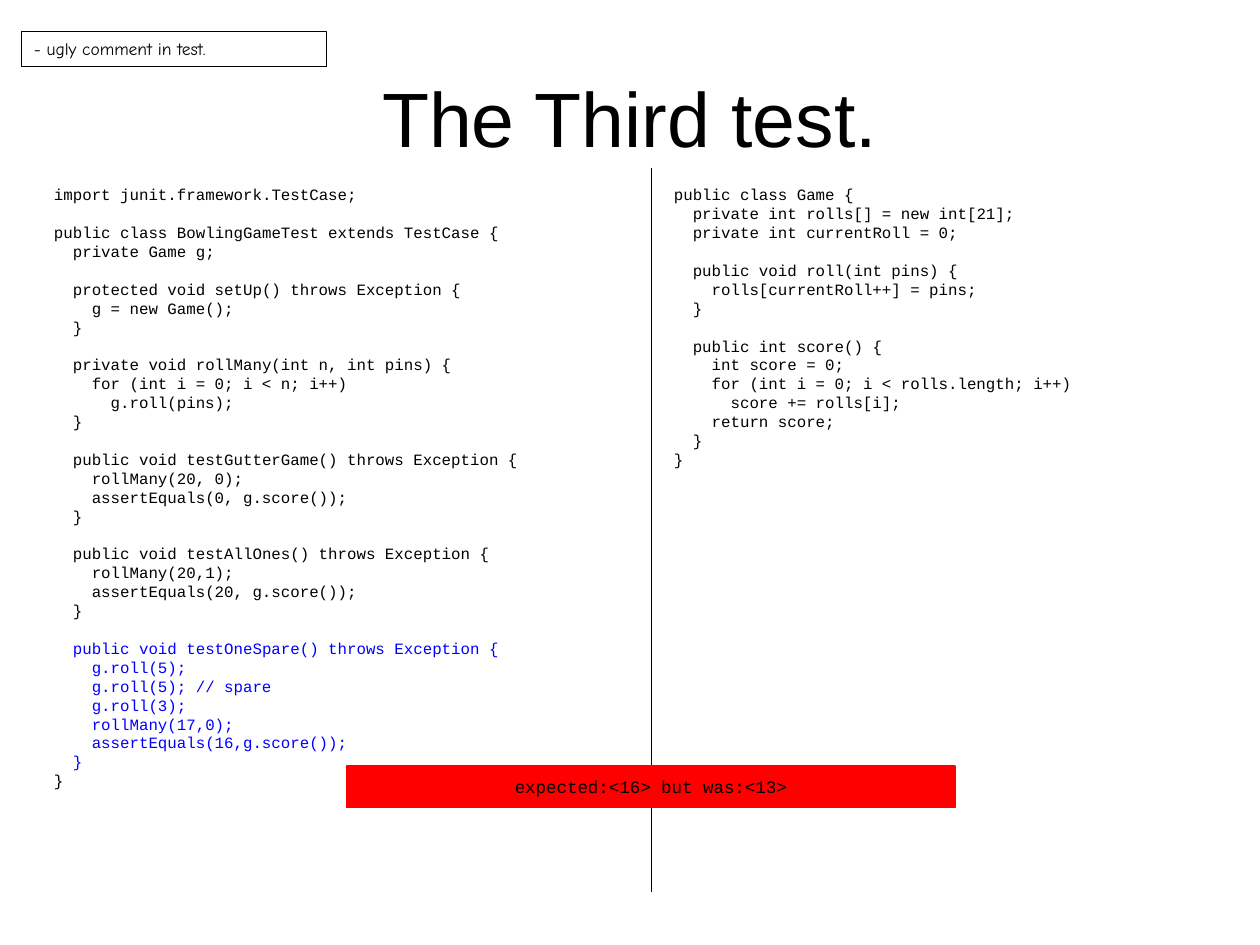
"""Build a slide that shows the third test of the bowling game beside its code."""
from lxml.etree import SubElement
from pptx import Presentation
from pptx.dml.color import RGBColor
from pptx.enum.shapes import MSO_CONNECTOR, MSO_SHAPE
from pptx.enum.text import MSO_ANCHOR, PP_ALIGN
from pptx.oxml.ns import qn
from pptx.util import Inches, Pt

BLACK, BLUE, RED = "000000", "0000FF", "FF0000"
TITLE_FONT, NOTE_FONT, CODE_FONT = "Arial", "Comic Neue", "Courier New"

TEST_SOURCE = """import junit.framework.TestCase;

public class BowlingGameTest extends TestCase {
  private Game g;

  protected void setUp() throws Exception {
    g = new Game();
  }

  private void rollMany(int n, int pins) {
    for (int i = 0; i < n; i++)
      g.roll(pins);
  }

  public void testGutterGame() throws Exception {
    rollMany(20, 0);
    assertEquals(0, g.score());
  }

  public void testAllOnes() throws Exception {
    rollMany(20,1);
    assertEquals(20, g.score());
  }
"""
SPARE_TEST = """
  public void testOneSpare() throws Exception {
    g.roll(5);
    g.roll(5); // spare
    g.roll(3);
    rollMany(17,0);
    assertEquals(16,g.score());
  }
"""
GAME_SOURCE = """public class Game {
  private int rolls[] = new int[21];
  private int currentRoll = 0;

  public void roll(int pins) {
    rolls[currentRoll++] = pins;
  }

  public int score() {
    int score = 0;
    for (int i = 0; i < rolls.length; i++)
      score += rolls[i];
    return score;
  }
}
"""


def colour(value):
    return RGBColor.from_string(value)


class Page:
    line_width = Pt(0.75)
    code_size = 9
    code_pitch = Pt(10.8)
    code_indent = Inches(0.15)

    def __init__(self, slide):
        self.slide = slide

    def add_text(self, paragraph, text, size, font, ink=BLACK, **formats):
        run = paragraph.add_run()
        run.text = text
        run.font.size = Pt(size)
        run.font.name = font
        run.font.color.rgb = colour(ink)
        for name, value in formats.items():
            setattr(paragraph, name, value)

    def text_box(self, *place, anchor=MSO_ANCHOR.TOP):
        frame = self.slide.shapes.add_textbox(*map(Inches, place)).text_frame
        frame.word_wrap = True
        frame.vertical_anchor = anchor
        return frame

    def title(self, text, *place):
        frame = self.text_box(*place, anchor=MSO_ANCHOR.MIDDLE)
        self.add_text(frame.paragraphs[0], text, 44, TITLE_FONT, alignment=PP_ALIGN.CENTER)

    def code(self, blocks, *place):
        frame = self.text_box(*place)
        paragraph, gap = frame.paragraphs[0], 0
        for source, ink in blocks:
            for line in source.splitlines():
                statement = line.lstrip()
                if not statement:
                    gap = self.code_pitch
                    continue
                if paragraph.runs:
                    paragraph = frame.add_paragraph()
                self.add_text(paragraph, statement, self.code_size, CODE_FONT, ink,
                              line_spacing=self.code_pitch, space_before=gap)
                depth = (len(line) - len(statement)) // 2
                paragraph._p.get_or_add_pPr().set("marL", str(depth * self.code_indent))
                gap = 0

    def box(self, text, font, *place, fill=None, line=BLACK, wrap=True,
            anchor=MSO_ANCHOR.TOP, alignment=PP_ALIGN.LEFT):
        shape = self.slide.shapes.add_shape(MSO_SHAPE.RECTANGLE, *map(Inches, place))
        shape.shadow.inherit = False
        if fill:
            shape.fill.solid()
            shape.fill.fore_color.rgb = colour(fill)
        else:
            shape.fill.background()
        shape.line.color.rgb = colour(line)
        shape.line.width = self.line_width
        frame = shape.text_frame
        frame.word_wrap = wrap
        frame.vertical_anchor = anchor
        self.add_text(frame.paragraphs[0], text, 10, font, alignment=alignment)

    def divider(self, x, top, bottom):
        ends = map(Inches, (x, top, x, bottom))
        line = self.slide.shapes.add_connector(MSO_CONNECTOR.STRAIGHT, *ends)
        line.line.color.rgb = colour(BLACK)
        line.line.width = self.line_width
        SubElement(line._element.spPr, qn("a:effectLst"))


deck = Presentation()
deck.slide_width, deck.slide_height = Inches(10), Inches(7.5)
page = Page(deck.slides.add_slide(deck.slide_layouts[6]))

page.title("The Third test.", 0.5, 0.3, 9, 1.25)
page.code([(TEST_SOURCE, BLACK), (SPARE_TEST, BLUE), ("}", BLACK)], 0.33, 1.42, 4.42, 4.88)
page.divider(5.17, 1.33, 7.08)
page.code([(GAME_SOURCE, BLACK)], 5.25, 1.42, 4.42, 2.34)
page.box("- ugly comment in test.", NOTE_FONT, 0.17, 0.25, 2.42, 0.28)
page.box("expected:<16> but was:<13>", CODE_FONT, 2.75, 6.08, 4.83, 0.33, fill=RED, line=RED,
         wrap=False, anchor=MSO_ANCHOR.MIDDLE, alignment=PP_ALIGN.CENTER)

deck.save("out.pptx")
